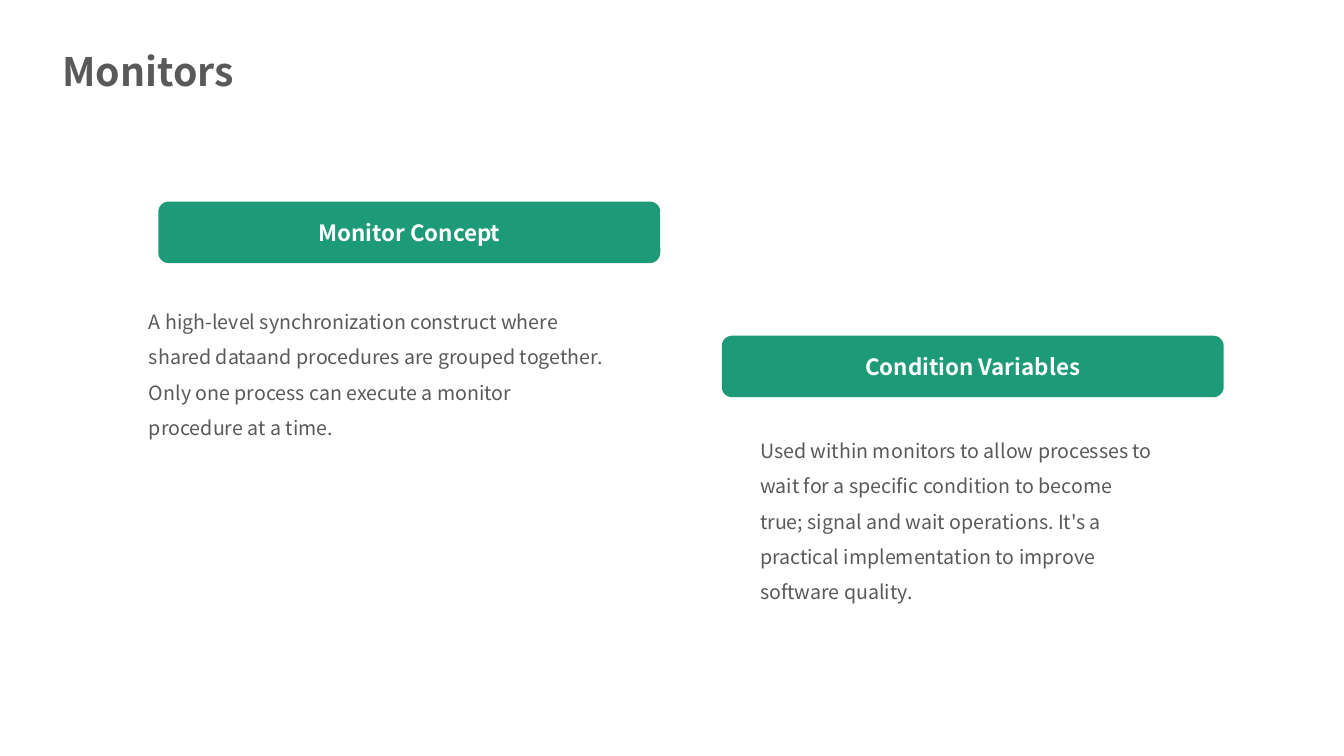
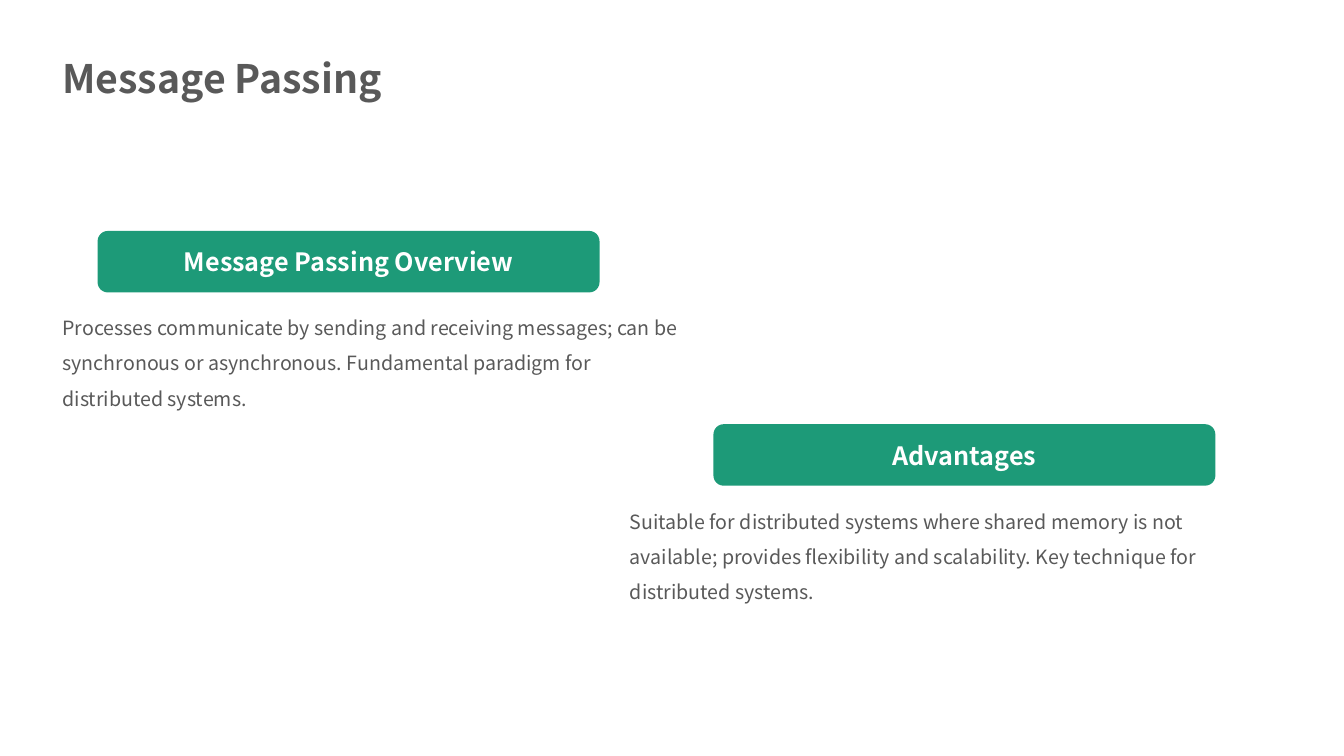
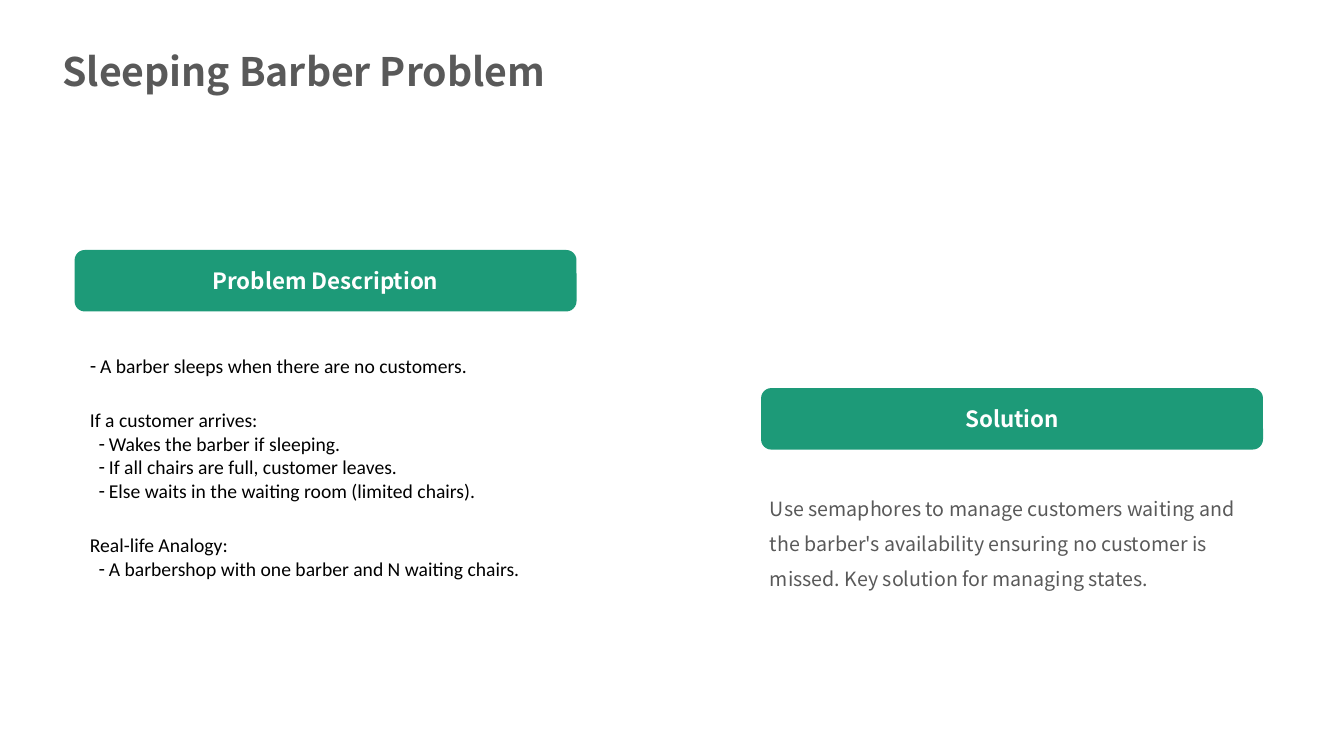
from dataclasses import dataclass

from lxml.etree import SubElement
from pptx import Presentation
from pptx.dml.color import RGBColor
from pptx.enum.shapes import MSO_SHAPE
from pptx.enum.text import MSO_ANCHOR, MSO_AUTO_SIZE, PP_ALIGN
from pptx.oxml.ns import qn
from pptx.util import Cm, Pt


@dataclass(frozen=True)
class Theme:
    green: RGBColor = RGBColor(0x1D, 0x9A, 0x78)
    grey: RGBColor = RGBColor(0x59, 0x59, 0x59)
    black: RGBColor = RGBColor(0, 0, 0)
    white: RGBColor = RGBColor(0xFF, 0xFF, 0xFF)
    sans: str = "Noto Sans CJK SC"
    plain: str = "Calibri"
    title_size: int = 28
    body_size: int = 14
    group_gap: int = 22


THEME = Theme()


@dataclass(frozen=True)
class Box:
    left: float
    top: float
    width: float
    height: float


@dataclass(frozen=True)
class Line:
    text: str
    indent: float = 0
    dash: bool = False
    before: int = 0


@dataclass(frozen=True)
class Style:
    font: str
    color: RGBColor
    spacing: float


PROSE = Style(THEME.sans, THEME.grey, 1.5)
NOTES = Style(THEME.plain, THEME.black, 1)

DASH_WIDTH = 0.26
SUB_INDENT = 0.22
BANNER_WIDTH, BANNER_HEIGHT = 12.65, 1.55


@dataclass(frozen=True)
class Topic:
    heading: str
    banner_left: float
    banner_top: float
    box: Box
    lines: tuple[Line, ...]
    style: Style = PROSE


@dataclass(frozen=True)
class Page:
    title: str
    topics: tuple[Topic, Topic]
    title_top: float = 1.07
    heading_size: int = 16


def place(sp, box: Box) -> None:
    sp.left, sp.top = Cm(box.left), Cm(box.top)
    sp.width, sp.height = Cm(box.width), Cm(box.height)


def add_run(p, text: str, size: int, color: RGBColor,
            font: str = THEME.sans, bold: bool = False) -> None:
    r = p.add_run()
    r.text = text
    r.font.size = Pt(size)
    r.font.name = font
    r.font.bold = bold
    r.font.color.rgb = color


def set_bullet(p, line: Line) -> None:
    hang = DASH_WIDTH if line.dash else 0
    props = p._p.get_or_add_pPr()
    props.set("marL", str(Cm(line.indent + hang)))
    props.set("indent", str(-Cm(hang)))
    if line.dash:
        SubElement(props, qn("a:buChar")).set("char", "-")
    else:
        SubElement(props, qn("a:buNone"))


def prepare(sp, anchor: MSO_ANCHOR):
    tf = sp.text_frame
    tf.word_wrap = True
    tf.auto_size = MSO_AUTO_SIZE.NONE
    tf.vertical_anchor = anchor
    return tf


def fill_title(sp, page: Page) -> None:
    place(sp, Box(1.32, page.title_top, 24, 1.44))
    p = prepare(sp, MSO_ANCHOR.TOP).paragraphs[0]
    p.alignment = PP_ALIGN.LEFT
    add_run(p, page.title, THEME.title_size, THEME.grey, bold=True)


def fill_body(sp, topic: Topic) -> None:
    place(sp, topic.box)
    tf = prepare(sp, MSO_ANCHOR.TOP)
    for i, line in enumerate(topic.lines):
        p = tf.add_paragraph() if i else tf.paragraphs[0]
        set_bullet(p, line)
        p.line_spacing = topic.style.spacing
        p.space_before = Pt(line.before)
        add_run(p, line.text, THEME.body_size, topic.style.color, topic.style.font)


def add_banner(s, topic: Topic, size: int) -> None:
    sp = s.shapes.add_shape(
        MSO_SHAPE.ROUNDED_RECTANGLE, Cm(topic.banner_left), Cm(topic.banner_top),
        Cm(BANNER_WIDTH), Cm(BANNER_HEIGHT))
    sp.shadow.inherit = False
    sp.fill.solid()
    sp.fill.fore_color.rgb = THEME.green
    sp.line.fill.background()
    p = prepare(sp, MSO_ANCHOR.MIDDLE).paragraphs[0]
    p.alignment = PP_ALIGN.CENTER
    add_run(p, topic.heading, size, THEME.white, bold=True)


def add_page(prs, page: Page) -> None:
    s = prs.slides.add_slide(prs.slide_layouts.get_by_name("Two Content"))
    fill_title(s.shapes.title, page)
    for i, topic in enumerate(page.topics, start=1):
        fill_body(s.placeholders[i], topic)
        add_banner(s, topic, page.heading_size)


PAGES = (
    Page("Monitors", (
        Topic("Monitor Concept", 3.99, 5.08, Box(3.5, 7.39, 12, 3.33), (
            Line("A high-level synchronization construct where shared dataand "
                 "procedures are grouped together. Only one process can execute "
                 "a monitor procedure at a time."),)),
        Topic("Condition Variables", 18.19, 8.46, Box(18.9, 10.64, 10.46, 3.28), (
            Line("Used within monitors to allow processes to wait for a specific "
                 "condition to become true; signal and wait operations. It's a "
                 "practical implementation to improve software quality."),)),
    )),
    Page("Message Passing", (
        Topic("Message Passing Overview", 2.46, 5.82, Box(1.32, 7.54, 16.48, 2.21), (
            Line("Processes communicate by sending and receiving messages; can be "
                 "synchronous or asynchronous. Fundamental paradigm for "
                 "distributed systems."),)),
        Topic("Advantages", 17.98, 10.69, Box(15.62, 12.42, 16.54, 2.26), (
            Line("Suitable for distributed systems where shared memory is not "
                 "available; provides flexibility and scalability. Key technique "
                 "for distributed systems."),)),
    ), title_top=1.24, heading_size=18),
    Page("Sleeping Barber Problem", (
        Topic("Problem Description", 1.88, 6.3, Box(2.01, 8.79, 13.87, 4.57), (
            Line("A barber sleeps when there are no customers.", dash=True),
            Line("If a customer arrives:", before=THEME.group_gap),
            Line("Wakes the barber if sleeping.", SUB_INDENT, True),
            Line("If all chairs are full, customer leaves.", SUB_INDENT, True),
            Line("Else waits in the waiting room (limited chairs).", SUB_INDENT, True),
            Line("Real-life Analogy:", before=THEME.group_gap),
            Line("A barbershop with one barber and N waiting chairs.", SUB_INDENT, True),
        ), NOTES),
        Topic("Solution", 19.18, 9.78, Box(19.15, 12.09, 12.62, 3.38), (
            Line("Use semaphores to manage customers waiting and the barber's "
                 "availability ensuring no customer is missed. Key solution for "
                 "managing states."),)),
    )),
)


def main() -> None:
    prs = Presentation()
    prs.slide_width, prs.slide_height = Cm(33.87), Cm(19.05)
    for page in PAGES:
        add_page(prs, page)
    prs.save("out.pptx")


if __name__ == "__main__":
    main()
